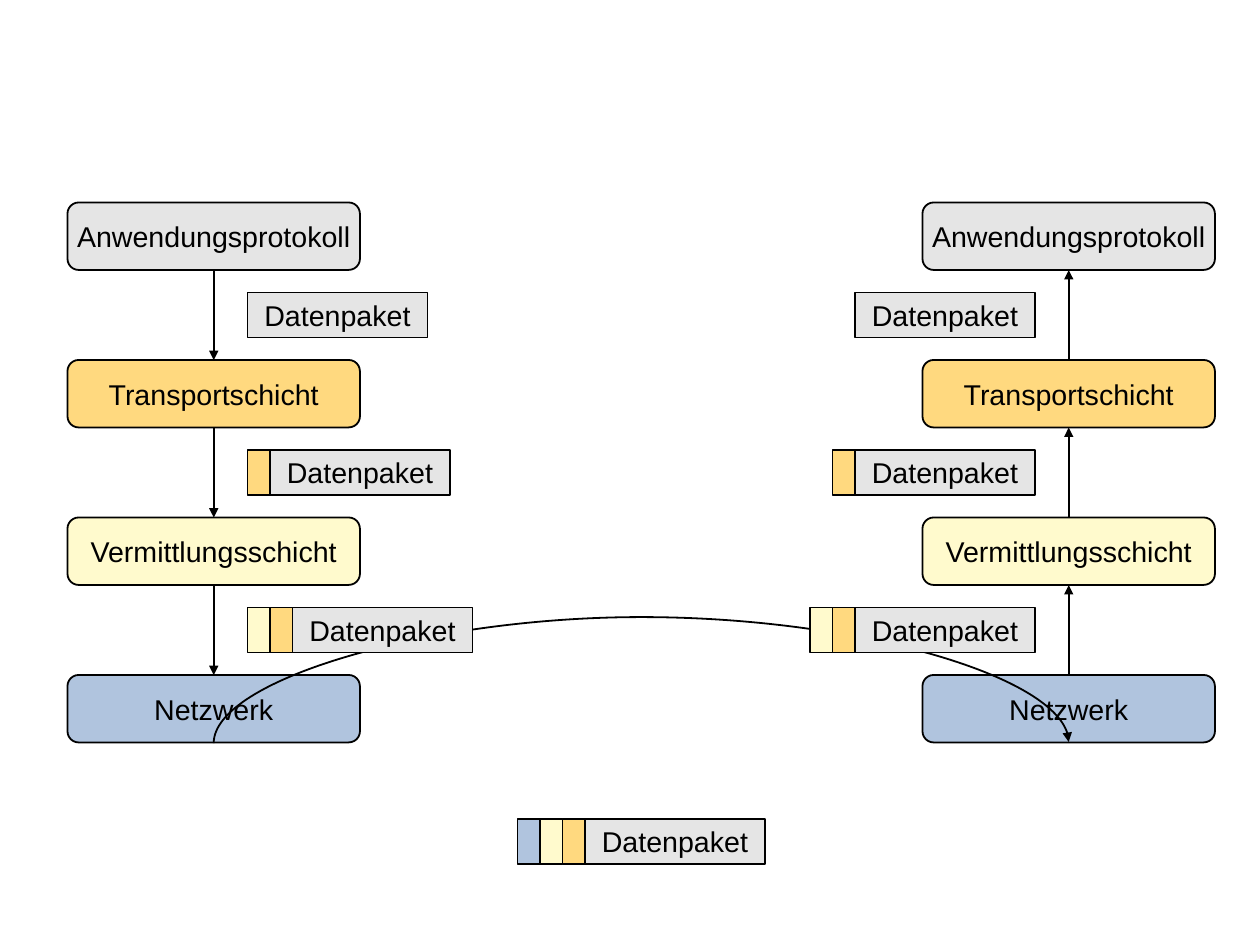
from dataclasses import dataclass

from lxml.etree import SubElement
from pptx import Presentation
from pptx.dml.color import RGBColor
from pptx.enum.shapes import MSO_CONNECTOR as Connector, MSO_SHAPE as Preset
from pptx.enum.text import MSO_ANCHOR as Anchor, PP_ALIGN as Align
from pptx.oxml.ns import qn
from pptx.shapes.autoshape import Shape
from pptx.shapes.connector import Connector as Line
from pptx.slide import Slide
from pptx.util import Cm, Emu, Inches, Pt

BLACK = RGBColor(0x00, 0x00, 0x00)
GRAY = RGBColor(0xE5, 0xE5, 0xE5)
ORANGE = RGBColor(0xFF, 0xD9, 0x7F)
YELLOW = RGBColor(0xFF, 0xFA, 0xCD)
BLUE = RGBColor(0xB0, 0xC4, 0xDE)

# The slide is a grid of 56 columns by 42 rows of square cells.
CELL = Cm(0.5)
COLUMNS, ROWS = 56, 42
LINE_WIDTH = Pt(1.13)

SENDER_COLUMN, RECEIVER_COLUMN = 3, 41
LAYER_WIDTH, LAYER_HEIGHT = 13, 3
FIRST_ROW, ROW_STEP = 9, 7
PAYLOAD_WIDTH, PACKET_HEIGHT = 8, 2
ARC_RISE, ARC_BASE = 5.6, 0.05


@dataclass(frozen=True)
class Layer:
    name: str
    color: RGBColor


@dataclass(frozen=True)
class Packet:
    """A payload at a grid position, with its headers listed outwards."""
    column: float
    row: float
    headers: tuple[RGBColor, ...]


LAYERS = (
    Layer("Anwendungsprotokoll", GRAY),
    Layer("Transportschicht", ORANGE),
    Layer("Vermittlungsschicht", YELLOW),
    Layer("Netzwerk", BLUE),
)
HEADERS = (ORANGE, YELLOW, BLUE)
PACKETS = (Packet(26, 36.4, HEADERS),) + tuple(
    Packet(38 if receiver else 11 + count, 13 + ROW_STEP * count, HEADERS[:count])
    for receiver in (False, True)
    for count in (2, 1, 0)
)


def cells(count: float) -> Emu:
    return Emu(round(count * CELL))


def write_text(shape: Shape, text: str, *, size: float = 18, font: str = "Arial",
               color: RGBColor = BLACK, align: Align = Align.CENTER) -> None:
    frame = shape.text_frame
    frame.word_wrap = False
    frame.vertical_anchor = Anchor.MIDDLE
    frame.margin_left = frame.margin_right = Inches(0.11)
    frame.margin_top = frame.margin_bottom = Inches(0.06)
    paragraph = frame.paragraphs[0]
    paragraph.alignment = align
    run = paragraph.add_run()
    run.text = text
    run.font.size = Pt(size)
    run.font.name = font
    run.font.color.rgb = color


def add_box(slide: Slide, preset: Preset, column: float, row: float, width: float,
            height: float, fill: RGBColor, text: str = "") -> Shape:
    shape = slide.shapes.add_shape(
        preset, cells(column), cells(row), cells(width), cells(height))
    shape.shadow.inherit = False
    shape.fill.solid()
    shape.fill.fore_color.rgb = fill
    shape.line.color.rgb = BLACK
    shape.line.width = LINE_WIDTH
    if text:
        write_text(shape, text)
    return shape


def add_arrow(slide: Slide, kind: Connector, begin: tuple[float, float],
              end: tuple[float, float]) -> Line:
    arrow = slide.shapes.add_connector(kind, *map(cells, begin + end))
    arrow.line.color.rgb = BLACK
    arrow.line.width = LINE_WIDTH
    SubElement(arrow.line._get_or_add_ln(), qn("a:tailEnd"), type="triangle")
    SubElement(arrow._element.spPr, qn("a:effectLst"))
    return arrow


def add_stack(slide: Slide, column: float) -> list[Shape]:
    """Draw one host's protocol layers from top to bottom."""
    return [
        add_box(slide, Preset.ROUNDED_RECTANGLE, column, FIRST_ROW + ROW_STEP * index,
                LAYER_WIDTH, LAYER_HEIGHT, layer.color, layer.name)
        for index, layer in enumerate(LAYERS)
    ]


def join_layers(slide: Slide, stack: list[Shape], upward: bool) -> None:
    for upper, lower in zip(stack, stack[1:]):
        arrow = add_arrow(slide, Connector.STRAIGHT, (0, 0), (1, 1))
        if upward:
            arrow.begin_connect(lower, 0)
            arrow.end_connect(upper, 2)
        else:
            arrow.begin_connect(upper, 2)
            arrow.end_connect(lower, 0)


def add_network_arc(slide: Slide) -> None:
    """Bend an arrow from sender to receiver: a thin upright curve, turned by 270°."""
    span = RECEIVER_COLUMN - SENDER_COLUMN
    center = SENDER_COLUMN + (LAYER_WIDTH + span) / 2
    base = FIRST_ROW + ROW_STEP * (len(LAYERS) - 1) + LAYER_HEIGHT
    arc = add_arrow(slide, Connector.CURVE,
                    (center - ARC_BASE / 2, base - span / 2),
                    (center + ARC_BASE / 2, base + span / 2))
    properties = arc._element.spPr
    properties.find(qn("a:xfrm")).set("rot", str(270 * 60000))
    adjustments = properties.find(qn("a:prstGeom")).find(qn("a:avLst"))
    bend = round(ARC_RISE / ARC_BASE * 100000)
    SubElement(adjustments, qn("a:gd"), name="adj1", fmla=f"val {bend}")


def add_packet(slide: Slide, packet: Packet) -> None:
    add_box(slide, Preset.RECTANGLE, packet.column, packet.row,
            PAYLOAD_WIDTH, PACKET_HEIGHT, GRAY, "Datenpaket")
    for distance, color in enumerate(packet.headers, start=1):
        add_box(slide, Preset.RECTANGLE, packet.column - distance, packet.row,
                1, PACKET_HEIGHT, color)


def main() -> None:
    presentation = Presentation()
    presentation.slide_width = cells(COLUMNS)
    presentation.slide_height = cells(ROWS)
    slide = presentation.slides.add_slide(presentation.slide_layouts[6])
    sender = add_stack(slide, SENDER_COLUMN)
    receiver = add_stack(slide, RECEIVER_COLUMN)
    join_layers(slide, sender, upward=False)
    join_layers(slide, receiver, upward=True)
    add_network_arc(slide)
    for packet in PACKETS:
        add_packet(slide, packet)
    presentation.save("out.pptx")


if __name__ == "__main__":
    main()
